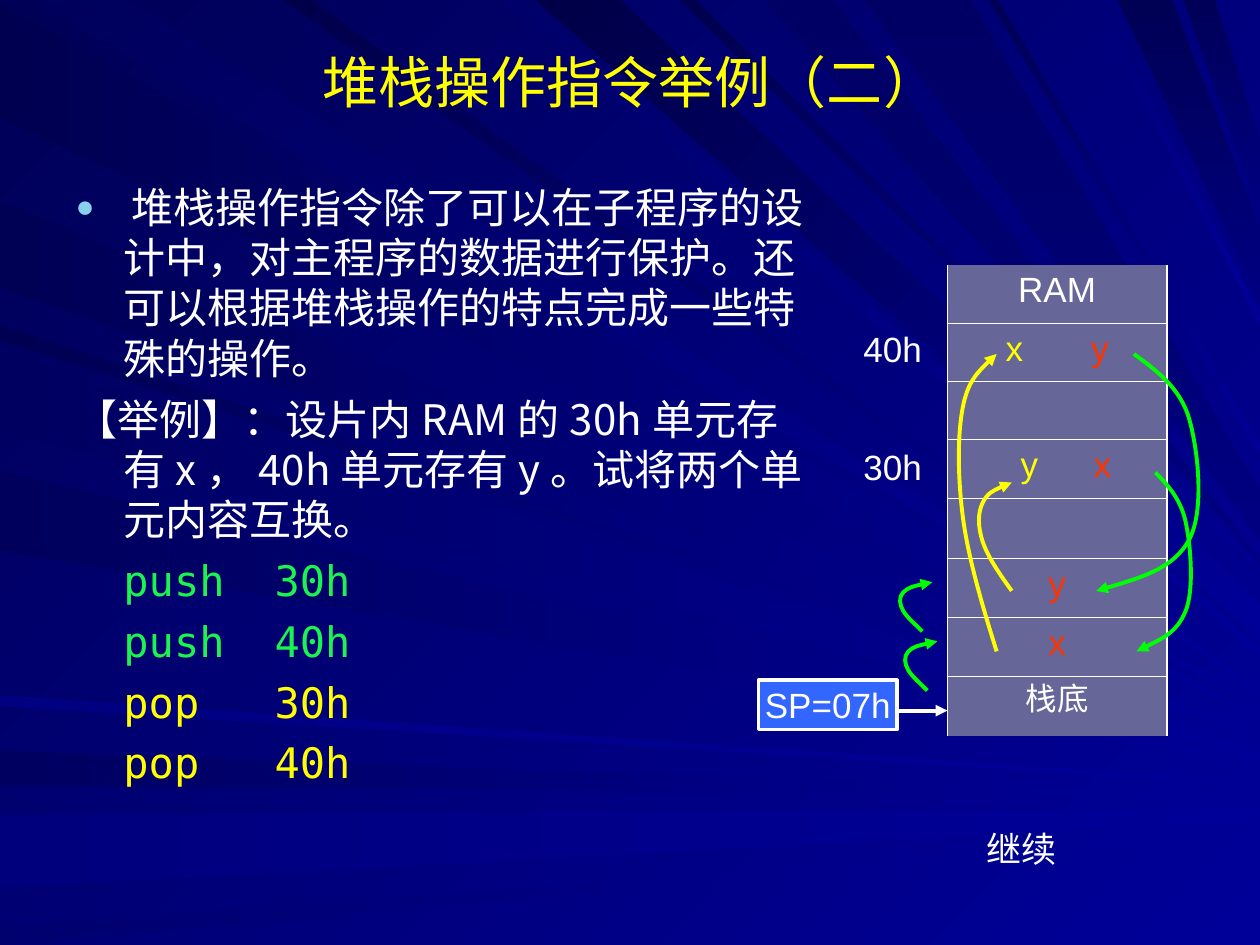
from lxml import etree
from pptx import Presentation
from pptx.dml.color import RGBColor
from pptx.enum.shapes import MSO_CONNECTOR, MSO_SHAPE
from pptx.enum.text import MSO_ANCHOR, MSO_AUTO_SIZE, PP_ALIGN
from pptx.oxml.ns import qn
from pptx.util import Pt

PX = 9144  # 100 px to the inch
WIDE, HIGH = 1000, 750
LEFT, CENTER = PP_ALIGN.LEFT, PP_ALIGN.CENTER
MIDDLE, FIXED = MSO_ANCHOR.MIDDLE, MSO_AUTO_SIZE.NONE
RECT, LINE = MSO_SHAPE.RECTANGLE, MSO_CONNECTOR.STRAIGHT
WHITE, YELLOW, RED, GREEN, LIME = "FFFFFF", "FFFF00", "FF3300", "00FF00", "1BF34E"
BLUE, NAVY = "000099", "000080"
SANS, MONO, CJK = "Arial", "DejaVu Sans Mono", "Noto Sans CJK SC"
rgb = RGBColor.from_string


def paint(fill, first, last, angle):
    """Gradient with a clockwise angle."""
    fill.gradient()
    fill.gradient_angle = 360 - angle
    for stop, color in zip(fill.gradient_stops, (first, last)):
        stop.color.rgb = rgb(color)


def write(para, text, size, color=WHITE, font=SANS, align=None):
    run = para.add_run()
    run.text = text
    run.font.size = Pt(size)
    run.font.name = font
    run.font.color.rgb = rgb(color)
    if align is not None:
        para.alignment = align


deck = Presentation()
deck.slide_width, deck.slide_height = WIDE * PX, HIGH * PX
slide = deck.slides.add_slide(deck.slide_layouts[1])
shapes = slide.shapes
paint(slide.background.fill, BLUE, "000057", 225)

# Background rays: start and end on the left or top edge, tip on the right, its half width, dark tone
side = [
    (2, 93, 570, 0, "000051"), (596, 623, 632, 0, "000060"), (647, 704, 647, 4, "00007C"),
    (735, 750, 662, 0, "00006E"), (258, 270, 589, 0, "000053"), (159, 228, 585, 0, "000055"),
    (278, 342, 600, 3, "000060"), (374, 437, 606, 0, "00005C"), (552, 560, 622, 1, "000081"),
]
top = [
    (26, 101, 563, 0, "00005C"), (398, 416, 518, 3, "00006A"), (426, 492, 493, 14, "000046"),
    (540, 552, 452, 0, "00004E"), (225, 247, 550, 2, "00004A"), (785, 792, 357, 3, "000057"),
    (865, 872, 254, 4, "000078"),
]
steep = [
    (606, 661, 446, 0, "000064"), (887, 930, 210, 27, "000055"), (939, 964, 140, 26, "000059"),
    (686, 770, 409, 19, "000064"),
]
for group in (side, top, steep):
    for start, end, tip, half, dark in group:
        ends = [(0, end), (0, start)] if group is side else [(start, 0), (end, 0)]
        pen = shapes.build_freeform(*ends[0], scale=PX)
        pen.add_line_segments([ends[1], (WIDE, tip - half), (WIDE, tip + half)], close=True)
        ray = pen.convert_to_shape()
        if group is steep:
            paint(ray.fill, dark, NAVY, 90)
        else:
            paint(ray.fill, BLUE, dark, 180 if group is side else 225)
        ray.line.fill.background()
        ray.shadow.inherit = False

# Title and body, lifted above the rays
title, body = shapes.title, slide.placeholders[1]
for holder, box in ((title, (51, 28, 900, 72)), (body, (50, 139, 600, 575))):
    holder.left, holder.top, holder.width, holder.height = [n * PX for n in box]
    holder.text_frame.auto_size = FIXED
    holder.element.getparent().append(holder.element)
title.text_frame.vertical_anchor = MIDDLE
write(title.text_frame.paragraphs[0], "堆栈操作指令举例（二）", 32, YELLOW, align=CENTER)

# Body: text, colour, font, left margin, first indent
lines = [
    ("堆栈操作指令除了可以在子程序的设计中，对主程序的数据进行保护。还可以根据堆栈操作的特点完成一些特殊的操作。",
     WHITE, SANS, 38, -38),
    ("【举例】：设片内RAM的30h单元存有x，40h单元存有y。试将两个单元内容互换。", WHITE, CJK, 38, -38),
]
for word, color in (("push", LIME), ("pop", YELLOW)):
    for spot in ("30h", "40h"):
        lines.append((word + "\t" + spot, color, MONO, 158, -120))
frame = body.text_frame
for i, (text, color, font, margin, indent) in enumerate(lines):
    para = frame.add_paragraph() if i else frame.paragraphs[0]
    para.space_before, para.line_spacing = Pt(6), Pt(28.75)
    props = para._p.get_or_add_pPr()
    props.set("marL", str(margin * PX))
    props.set("indent", str(indent * PX))
    if i:
        etree.SubElement(props, qn("a:buNone"))
    else:
        tint = etree.SubElement(props, qn("a:buClr"))
        etree.SubElement(tint, qn("a:srgbClr"), val="86D1EC")
        etree.SubElement(props, qn("a:buSzPct"), val="90000")
        etree.SubElement(props, qn("a:buChar"), char="●")
        write(para, " ", 20)
    write(para, text, 24, color, font)

# RAM table: runs of each row, then margin and indent for paired values
rows = [
    ([("RAM", WHITE)], 0, 0),
    ([("x", YELLOW), ("\ty", RED)], 104, -68),
    ([], 0, 0),
    ([("y", YELLOW), ("\tx", RED)], 124, -76),
    ([], 0, 0),
    ([("y", RED)], 0, 0),
    ([("x", RED)], 0, 0),
    ([("栈底", WHITE)], 0, 0),
]
last = len(rows) - 1
table = shapes.add_table(len(rows), 1, 752 * PX, 210 * PX, 174 * PX, 374 * PX).table
table.first_row = table.horz_banding = False
for i, (runs, margin, indent) in enumerate(rows):
    table.rows[i].height = (46 if i in (1, 2) else 47) * PX
    cell = table.cell(i, 0)
    props = cell._tc.get_or_add_tcPr()
    for name, shown in (("L", True), ("R", True), ("T", i > 0), ("B", i < last)):
        width = Pt(1.08 if name in "LR" else 0.45)
        edge = etree.SubElement(props, qn("a:ln" + name), w=str(width))
        ink = etree.SubElement(edge, qn("a:solidFill" if shown else "a:noFill"))
        if shown:
            etree.SubElement(ink, qn("a:srgbClr"), val=WHITE)
    cell.fill.solid()
    cell.fill.fore_color.rgb = rgb("666699")
    para = cell.text_frame.paragraphs[0]
    para.space_before = Pt(5)
    if margin:
        props = para._p.get_or_add_pPr()
        props.set("marL", str(margin * PX))
        props.set("indent", str(indent * PX))
    if i == last:
        para.space_before, para.line_spacing = Pt(4.5), Pt(21)
    for text, color in runs:
        write(para, text, 18 if i == last else 20, color, align=LEFT if margin else CENTER)

# Stack pointer box and its arrow
box = shapes.add_shape(RECT, 602 * PX, 540 * PX, 110 * PX, 39 * PX)
box.fill.solid()
box.fill.fore_color.rgb = rgb("3366FF")
box.line.color.rgb, box.line.width = rgb(WHITE), Pt(2.25)
box.shadow.inherit = False
box.text_frame.word_wrap = False
box.text_frame.vertical_anchor = MIDDLE
write(box.text_frame.paragraphs[0], "SP=07h", 20, align=CENTER)
link = shapes.add_connector(LINE, 713 * PX, 564 * PX, 752 * PX, 564 * PX)
arrows = [(link, WHITE)]

# Address labels
for text, y in (("40h", 257), ("30h", 351)):
    label = shapes.add_textbox(665 * PX, y * PX, 87 * PX, 39 * PX).text_frame
    label.word_wrap, label.vertical_anchor = False, MIDDLE
    write(label.paragraphs[0], text, 20, align=CENTER)

# Curved arrows: smooth Bezier pieces through four points
hop = [(736, 548), (721, 532), (721, 517), (744, 509)]
curves = [
    (GREEN, [(917, 375), (941, 414), (941, 485), (902, 517)]),
    (GREEN, hop),
    (GREEN, [(x - 4, y - 47) for x, y in hop]),
    (GREEN, [(900, 281), (944, 333), (944, 428), (870, 469)]),
    (YELLOW, [(803, 469), (780, 430), (780, 399), (803, 383)]),
    (YELLOW, [(791, 517), (764, 409), (764, 324), (791, 281)]),
]
for color, (a, b, c, d) in curves:
    into, out, near, away = [
        tuple(round(p + sign * (r - q) / 6) for p, q, r in zip(mid, back, ahead))
        for mid, back, ahead, sign in ((b, a, c, -1), (b, a, c, 1), (c, b, d, -1), (c, b, d, 1))
    ]
    rise, fall = [
        tuple((p + q) // 2 for p, q in zip(*pair)) for pair in ((a, into), (away, d))
    ]
    pen = shapes.build_freeform(*a, scale=PX)
    pen.add_line_segments([rise, into, b, out, near, c, away, fall, d], close=False)
    curve = pen.convert_to_shape()
    curve.fill.background()
    path = next(curve.element.iter(qn("a:path")))
    steps = path.findall(qn("a:lnTo"))
    for i in range(0, len(steps), 3):
        bend = etree.SubElement(path, qn("a:cubicBezTo"))
        for step in steps[i:i + 3]:
            bend.append(step[0])
            path.remove(step)
    arrows.append((curve, color))
for arrow, color in arrows:
    arrow.line.color.rgb, arrow.line.width = rgb(color), Pt(2.25)
    frame = arrow.element.spPr
    etree.SubElement(frame.find(qn("a:ln")), qn("a:tailEnd"), type="triangle")
    etree.SubElement(frame, qn("a:effectLst"))

# Continue label
more = shapes.add_textbox(773 * PX, 652 * PX, 139 * PX, 44 * PX).text_frame
more.word_wrap = True
more.paragraphs[0].space_before = Pt(12.5)
write(more.paragraphs[0], "继续", 20)

deck.save("out.pptx")
